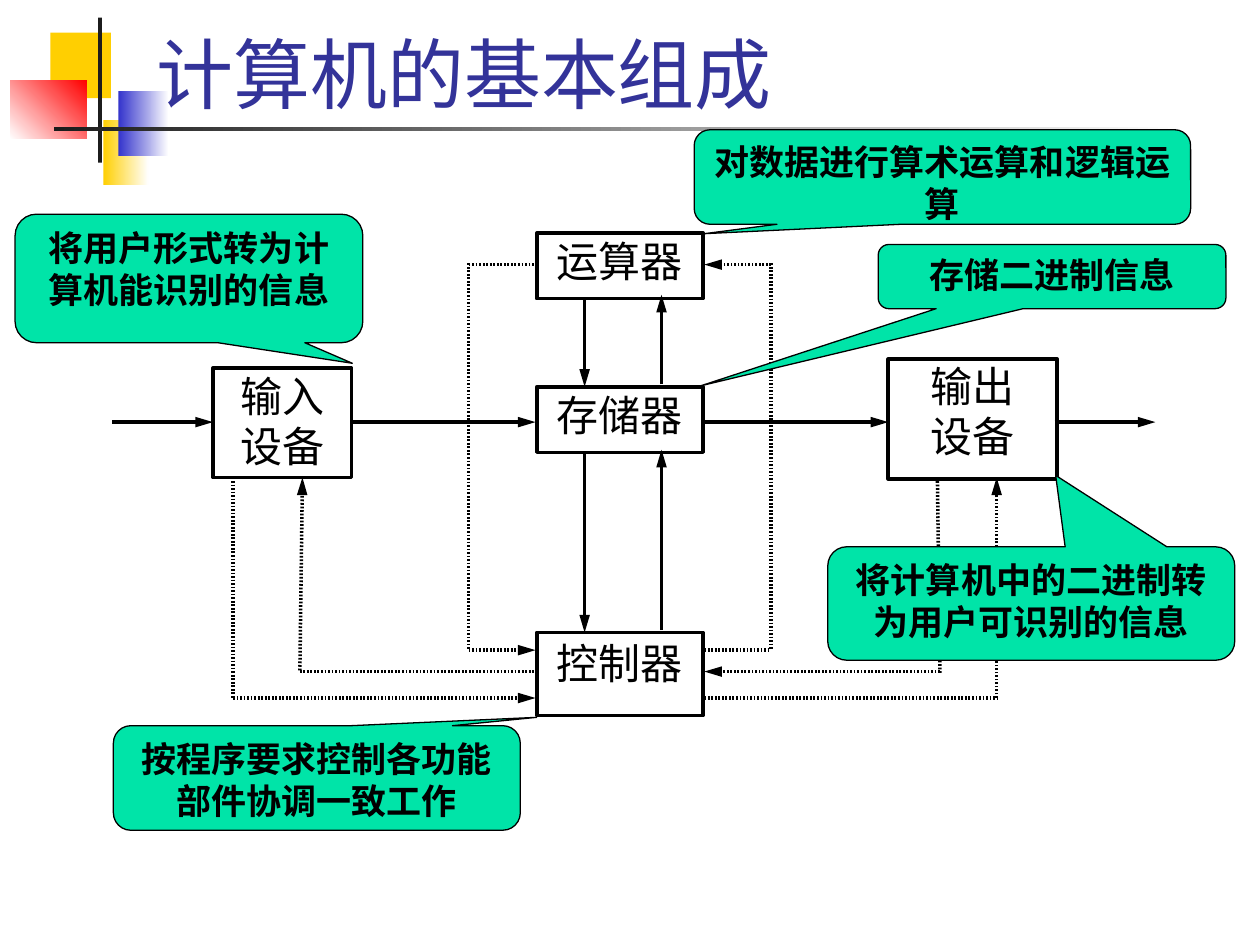
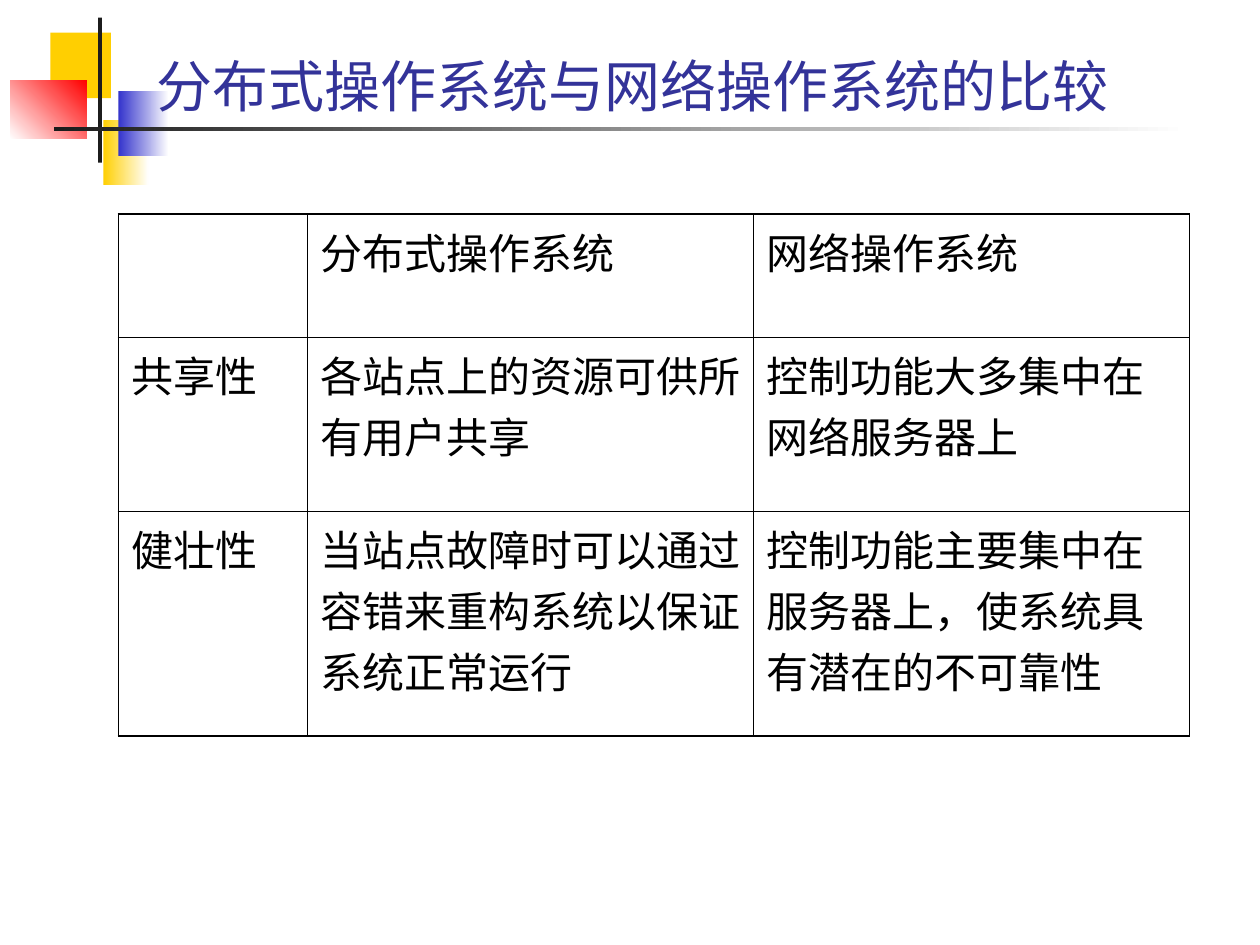
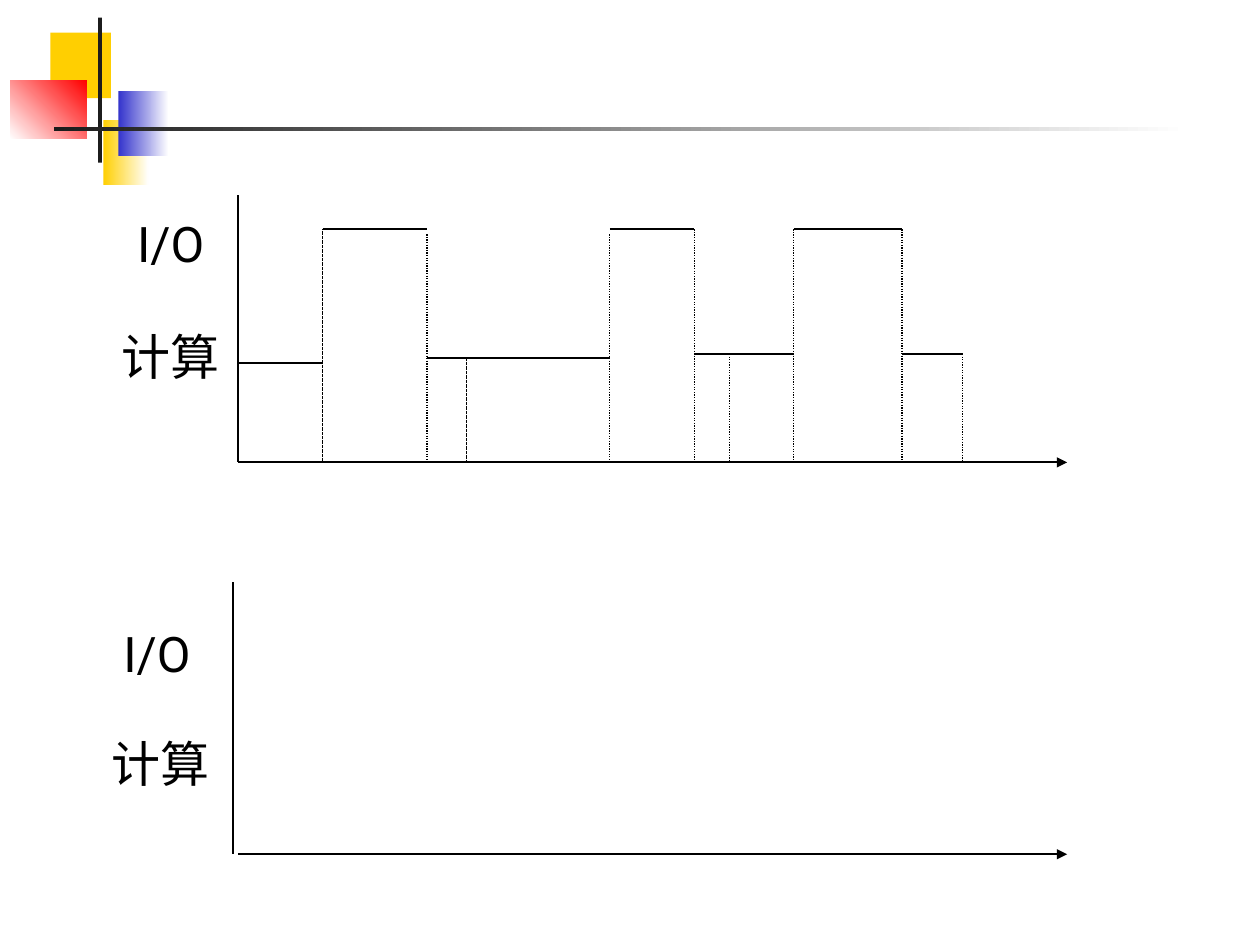
from lxml.etree import SubElement
from pptx import Presentation
from pptx.dml.color import RGBColor as RGB
from pptx.enum.dml import MSO_LINE_DASH_STYLE as DASH
from pptx.enum.shapes import MSO_CONNECTOR as CONN, MSO_SHAPE as SHAPE
from pptx.enum.text import MSO_ANCHOR as ANCHOR, PP_ALIGN as ALIGN
from pptx.oxml.ns import qn
from pptx.util import Inches, Pt

BLACK, WHITE, DARK = "000000", "FFFFFF", "1C1C1C"
GOLD, BLUE, RED = "FFCF01", "3333CC", "FF0000"
NAVY, GREEN = "333399", "00E4A8"
SANS, SERIF = "Roboto", "Times New Roman"


def color(code):
    return RGB.from_string(code)


def place(*nums):
    return [Inches(n) for n in nums]


def style(par, size, face=SANS, tint=BLACK, bold=False, align=ALIGN.LEFT):
    par.alignment = align
    par.font.size = Pt(size)
    par.font.name = face
    par.font.bold = bold
    par.font.color.rgb = color(tint)


def write(frame, text, pad=(0.1, 0.05), anchor=ANCHOR.TOP, wrap=True, **look):
    frame.word_wrap = wrap
    frame.vertical_anchor = anchor
    frame.margin_left = frame.margin_right = Inches(pad[0])
    frame.margin_top = frame.margin_bottom = Inches(pad[1])
    frame.text = text
    for par in frame.paragraphs:
        style(par, **look)


def add_form(slide, kind, box, fill, edge=None):
    form = slide.shapes.add_shape(kind, *place(*box))
    form.shadow.inherit = False
    form.fill.solid()
    form.fill.fore_color.rgb = color(fill)
    if edge:
        form.line.color.rgb = color(BLACK)
        form.line.width = Pt(edge)
    else:
        form.line.fill.background()
    return form


def add_fade(slide, box, start, end, angle=0):
    fill = add_form(slide, SHAPE.RECTANGLE, box, start).fill
    fill.gradient()
    fill.gradient_angle = angle
    for stop, tint in zip(fill.gradient_stops, (start, end)):
        stop.color.rgb = color(tint)


def add_line(slide, ends, width, head=None, dots=False, fine=False):
    line = slide.shapes.add_connector(CONN.STRAIGHT, *place(*ends))
    line.line.color.rgb = color(BLACK)
    line.line.width = Pt(width)
    ln = line.line._get_or_add_ln()
    if fine:
        dash = SubElement(ln, qn("a:custDash"))
        SubElement(dash, qn("a:ds"), d="50000", sp="50000")
    elif dots:
        line.line.dash_style = DASH.ROUND_DOT
    if head:
        SubElement(ln, qn("a:tailEnd"), type="triangle", w="med", len=head)
    SubElement(line._element.spPr, qn("a:effectLst"))


def add_text(slide, box, text, **look):
    frame = slide.shapes.add_textbox(*place(*box)).text_frame
    write(frame, text, **look)


def add_block(slide, box, text, pad):
    form = add_form(slide, SHAPE.RECTANGLE, box, WHITE, 2)
    write(form.text_frame, text, pad, size=24, face=SERIF, align=ALIGN.CENTER)


def add_note(slide, box, tip, text):
    form = add_form(slide, SHAPE.ROUNDED_RECTANGULAR_CALLOUT, box, GREEN, 0.75)
    form.adjustments[0], form.adjustments[1] = tip
    form.adjustments[2] = 0.167
    write(form.text_frame, text, size=20, bold=True, align=ALIGN.CENTER)


def add_page(deck, title=None, size=44):
    slide = deck.slides.add_slide(deck.slide_layouts[6])
    add_form(slide, SHAPE.RECTANGLE, (0.4, 0.26, 0.48, 0.52), GOLD)
    add_fade(slide, (0.82, 0.95, 0.36, 0.52), GOLD, WHITE)
    add_fade(slide, (0.94, 0.72, 0.4, 0.52), BLUE, WHITE)
    add_fade(slide, (0.08, 0.64, 0.61, 0.46), WHITE, RED, 45)
    add_form(slide, SHAPE.RECTANGLE, (0.78, 0.14, 0.03, 1.15), DARK)
    add_fade(slide, (0.43, 1.01, 9, 0.03), DARK, WHITE)
    if title:
        add_text(slide, (1.14, 0.21, 8.59, 0.78), title,
                 anchor=ANCHOR.BOTTOM, size=size, tint=NAVY)
    return slide


def add_edge(cell, side, width):
    edge = SubElement(cell._tc.get_or_add_tcPr(), qn("a:" + side),
                      w=str(Pt(width)))
    fill = SubElement(edge, qn("a:solidFill"))
    SubElement(fill, qn("a:srgbClr"), val=BLACK)


def add_grid(slide, spot, cols, rows, data):
    size = sum(cols), sum(rows)
    grid = slide.shapes.add_table(len(rows), len(cols),
                                  *place(*spot, *size)).table
    grid.first_row = grid.horz_banding = False
    for col, width in zip(grid.columns, cols):
        col.width = Inches(width)
    for row, height in zip(grid.rows, rows):
        row.height = Inches(height)
    for i, line in enumerate(data):
        for j, text in enumerate(line):
            cell = grid.cell(i, j)
            outer = {"lnL": j == 0, "lnR": j == len(cols) - 1,
                     "lnT": i == 0, "lnB": i == len(rows) - 1}
            for side, thick in outer.items():
                add_edge(cell, side, 1.08 if thick else 0.45)
            cell.fill.background()
            cell.text = text
            style(cell.text_frame.paragraphs[0], 24)


def draw_parts(deck):
    slide = add_page(deck, "计算机的基本组成")
    for box, text, pad in (
        ((4.26, 1.85, 1.32, 0.52), "运算器", (0.1, 0.02)),
        ((4.26, 3.07, 1.32, 0.52), "存储器", (0.1, 0.02)),
        ((4.26, 5.02, 1.32, 0.66), "控制器", (0.1, 0.04)),
        ((1.69, 2.92, 1.1, 0.87), "输入\n设备", (0.02, 0.02)),
        ((7.05, 2.85, 1.34, 0.95), "输出\n设备", (0.02, 0.01)),
    ):
        add_block(slide, box, text, pad)

    mid, down, up = 3.35, 4.64, 5.25
    for start, end in ((0.89, 1.69), (2.79, 4.25), (5.59, 7.05), (8.37, 9.17)):
        add_line(slide, (start, mid, end, mid), 2, "lg")
    for x, start, end in ((down, 2.36, 3.07), (up, 3.05, 2.34),
                          (down, 3.6, 5.02), (up, 5, 3.57)):
        add_line(slide, (x, start, x, end), 2, "lg")

    left, right = 4.25, 5.59
    for ends in ((3.72, 2.1, left, 2.1), (3.72, 2.09, 3.72, 5.15),
                 (right, 5.16, 6.12, 5.16), (6.12, 2.09, 6.12, 5.15),
                 (2.38, 5.33, left, 5.33), (1.85, 3.79, 1.85, 5.54),
                 (7.44, 3.79, 7.46, 5.34), (right, 5.54, 7.93, 5.54)):
        add_line(slide, ends, 2, fine=True)
    for ends in ((3.72, 5.16, left, 5.16), (6.12, 2.1, right, 2.1),
                 (1.85, 5.54, left, 5.54), (2.38, 5.32, 2.4, 3.79),
                 (7.46, 5.33, right, 5.33), (7.91, 5.54, 7.91, 3.79)):
        add_line(slide, ends, 2, "lg", fine=True)

    for box, tip, text in (
        ((5.51, 1.03, 3.94, 0.75), (-0.48, 0.6),
         "对数据进行算术运算和逻辑运算"),
        ((6.97, 1.94, 2.76, 0.51), (-1.01, 1.7), "存储二进制信息"),
        ((0.9, 5.76, 3.23, 0.83), (0.54, -0.58),
         "按程序要求控制各功能部件协调一致工作"),
        ((0.12, 1.7, 2.76, 1.02), (0.47, 0.66),
         "将用户形式转为计算机能识别的信息"),
        ((6.57, 4.34, 3.23, 0.9), (0.06, -1.13),
         "将计算机中的二进制转为用户可识别的信息"),
    ):
        add_note(slide, box, tip, text)


def draw_match(deck):
    slide = add_page(deck, "分布式操作系统与网络操作系统的比较", 32)
    add_grid(slide, (0.94, 1.7), (1.5, 3.54, 3.46), (0.98, 1.38, 1.78), (
        ("", "分布式操作系统", "网络操作系统"),
        ("共享性", "各站点上的资源可供所有用户共享",
         "控制功能大多集中在网络服务器上"),
        ("健壮性", "当站点故障时可以通过容错来重构系统以保证系统正常运行",
         "控制功能主要集中在服务器上，使系统具有潜在的不可靠性"),
    ))


def draw_times(deck):
    slide = add_page(deck)
    base = 3.67
    for x, top, floor in ((1.89, 1.55, base), (1.85, 4.62, 6.78)):
        add_line(slide, (1.89, floor, 8.47, floor), 1.25, "med")
        add_line(slide, (x, top, x, floor), 1.25)
    for x, y, text in ((0.85, 1.55, "I/O"), (0.85, 2.45, "计算"),
                       (0.74, 4.81, "I/O"), (0.77, 5.68, "计算")):
        add_text(slide, (x, y, 1.01, 0.75), text, anchor=ANCHOR.MIDDLE,
                 wrap=False, size=28, align=ALIGN.CENTER)

    turns = (1.89, 2.56, 3.39, 4.84, 5.51, 6.3, 7.16, 7.64)
    steps = (2.88, 1.82, 2.84, 1.82, 2.81, 1.82, 2.81)
    for start, end, y in zip(turns, turns[1:], steps):
        add_line(slide, (start, y, end, y), 1.25)
    for x, top in ((2.56, 1.82), (3.7, 2.84)):
        add_line(slide, (x, top, x, base), 0.75, fine=True)
    for x, top in ((3.39, 1.86), (4.84, 1.86), (5.51, 1.82), (5.79, 2.81),
                   (6.3, 1.82), (7.16, 1.82), (7.64, 2.81)):
        add_line(slide, (x, top, x, base), 0.75, dots=True)


def main():
    deck = Presentation()
    deck.slide_width, deck.slide_height = place(10, 7.5)
    draw_parts(deck)
    draw_match(deck)
    draw_times(deck)
    deck.save("out.pptx")


if __name__ == "__main__":
    main()
